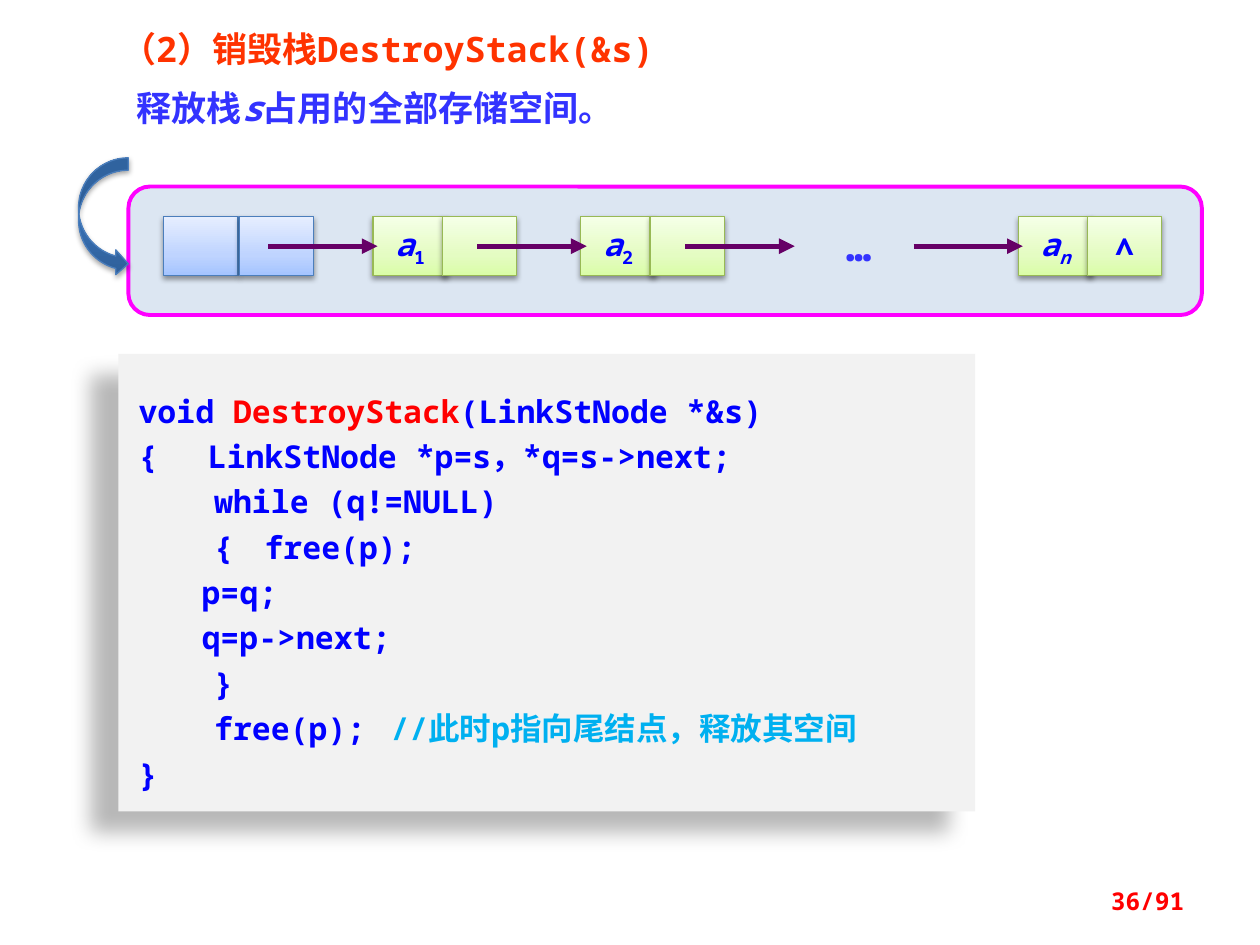
import pptx
import pptx.util
import pptx.dml.color
import pptx.enum.shapes
import pptx.enum.text
import pptx.oxml
import pptx.oxml.ns

Pt = pptx.util.Pt
SHAPE = pptx.enum.shapes.MSO_SHAPE
ALIGN = pptx.enum.text.PP_ALIGN
ANCHOR = pptx.enum.text.MSO_ANCHOR
qn = pptx.oxml.ns.qn

FONT = "Noto Sans Mono"
COLORS = {
    "heading": "FF3300", "summary": "3333FF", "code": "0000FF", "red": "FF0000",
    "comment": "00B0F0", "panel": "DCE6F2", "panel_line": "FF00FF",
    "code_panel": "F2F2F2", "link": "660066",
    "blue_line": "4B7EBC", "green_line": "98B955",
}
GRADIENTS = {
    "blue": [(0, "A4C4FF"), (35, "BFD4FF"), (100, "E6EEFF")],
    "green": [(0, "DAFDA7"), (35, "E4FCC2"), (100, "F5FFE7")],
    "arrow": [(0, "2F5F99"), (80, "3D7CC7"), (100, "3A7CCB")],
}

# A line is a list of spans: (text, format overrides)
HEADING = [[("（2）销毁栈DestroyStack(&s)", {})]]
SUMMARY = [[("释放栈", {}), ("s", {"italic": True}), ("占用的全部存储空间。", {})]]
CODE = [
    [("void ", {}), ("DestroyStack", {"color": "red"}), ("(LinkStNode *&s)", {})],
    [("{　 LinkStNode *p=s，*q=s->next;", {})],
    [("    while (q!=NULL)", {})],
    [("    {\tfree(p);", {})],
    [("\tp=q;", {})],
    [("\tq=p->next;", {})],
    [("    }", {})],
    [("    free(p);\t", {}), ("//此时p指向尾结点，释放其空间", {"color": "comment"})],
    [("}", {})],
]
SUBSCRIPT = {"baseline": -25}


def item(index, **subscript_format):
    return [("a", {"italic": True}), (index, {**SUBSCRIPT, **subscript_format})]


# left edge, distance between the two cells, style, data cell, pointer cell
NODES = [
    (93.6, 43.2, "blue", None, None),
    (213.1, 39.6, "green", item("1"), None),
    (331.9, 39.6, "green", item("2"), None),
    (581.8, 39.6, "green", item("n", italic=True), [("∧", {})]),
]
CELL_WIDTH, CELL_HEIGHT, CELL_TOP = 42.5, 33.8, 123.8
LINK_OFFSET, LINK_LENGTH = 59.7, 62.5
LAST_LINK_START = 522

deck = pptx.Presentation()
deck.slide_width, deck.slide_height = Pt(720), Pt(540)
page = deck.slides.add_slide(deck.slide_layouts[5])


def rgb(name):
    return pptx.dml.color.RGBColor.from_string(COLORS[name])


def write(shape, lines, size=18, color="code", bold=True, align=ALIGN.LEFT,
          anchor=ANCHOR.MIDDLE, spacing=None, wrap=True, insets=(7.2, 3.6, 7.2, 3.6)):
    """Fill a shape with lines of spans; insets run left, top, right, bottom."""
    frame = shape.text_frame
    frame.auto_size = pptx.enum.text.MSO_AUTO_SIZE.NONE
    frame.word_wrap, frame.vertical_anchor = wrap, anchor
    (frame.margin_left, frame.margin_top,
     frame.margin_right, frame.margin_bottom) = map(Pt, insets)
    for number, line in enumerate(lines):
        para = frame.add_paragraph() if number else frame.paragraphs[0]
        para.alignment = align
        if spacing:
            para.line_spacing = spacing
        for text, style in line:
            span = para.add_run()
            span.text = text
            font = span.font
            font.name, font.size, font.bold = FONT, Pt(size), bold
            font.italic = style.get("italic", False)
            font.color.rgb = rgb(style.get("color", color))
            properties = span._r.get_or_add_rPr()
            if "baseline" in style:
                properties.set("baseline", str(style["baseline"] * 1000))
            east_asian = pptx.oxml.parse_xml(
                f'<a:ea {pptx.oxml.ns.nsdecls("a")} typeface="{FONT}"/>')
            properties.find(qn("a:latin")).addnext(east_asian)


def add_box(*bounds):
    return page.shapes.add_textbox(*map(Pt, bounds))


def add_shape(kind, bounds, fill=None, gradient=None, line=None, line_width=0.75, shadow=None):
    """Add a preset shape; shadow is (opacity %, blur, distance, direction)."""
    shape = page.shapes.add_shape(kind, *map(Pt, bounds))
    if gradient:
        shape.fill.gradient()
        shape.fill.gradient_angle = 90
        stops = shape._element.spPr.find(qn("a:gradFill")).find(qn("a:gsLst"))
        for stop in list(stops):
            stops.remove(stop)
        for position, color in GRADIENTS[gradient]:
            stops.append(pptx.oxml.parse_xml(
                f'<a:gs {pptx.oxml.ns.nsdecls("a")} pos="{position * 1000}">'
                f'<a:srgbClr val="{color}"/></a:gs>'))
    else:
        shape.fill.solid()
        shape.fill.fore_color.rgb = rgb(fill)
    if line:
        shape.line.color.rgb = rgb(line)
        shape.line.width = Pt(line_width)
    else:
        shape.line.fill.background()
    shape.shadow.inherit = False
    if shadow:
        opacity, blur, distance, direction = shadow
        shape._element.spPr.find(qn("a:effectLst")).append(pptx.oxml.parse_xml(
            f'<a:outerShdw {pptx.oxml.ns.nsdecls("a")} blurRad="{Pt(blur)}" '
            f'dist="{Pt(distance)}" dir="{direction * 60000}" rotWithShape="0">'
            f'<a:srgbClr val="000000"><a:alpha val="{opacity * 1000}"/></a:srgbClr>'
            '</a:outerShdw>'))
    return shape


def add_link(start):
    middle = Pt(CELL_TOP + CELL_HEIGHT / 2)
    link = page.shapes.add_connector(
        pptx.enum.shapes.MSO_CONNECTOR.STRAIGHT,
        Pt(start), middle, Pt(start + LINK_LENGTH), middle)
    link.line.color.rgb = rgb("link")
    link.line.width = Pt(3)
    namespace = pptx.oxml.ns.nsdecls("a")
    link.line._get_or_add_ln().append(
        pptx.oxml.parse_xml(f'<a:tailEnd {namespace} type="triangle"/>'))
    link._element.spPr.append(pptx.oxml.parse_xml(f'<a:effectLst {namespace}/>'))


title = page.shapes.title
title.left, title.top, title.width, title.height = map(Pt, (62, 11, 420, 33))
write(title, HEADING, size=20, color="heading")
write(add_box(71, 45, 411, 33), SUMMARY, size=20, color="summary")

add_shape(SHAPE.ROUNDED_RECTANGLE, (73.4, 106.6, 613.4, 73.4),
          fill="panel", line="panel_line", line_width=2.25)
code_panel = add_shape(SHAPE.RECTANGLE, (67.7, 202.3, 489.6, 261.4),
                       fill="code_panel", shadow=(28, 11.8, 19.7, 141))
write(code_panel, CODE, anchor=ANCHOR.TOP, spacing=1.2, insets=(11.5, 17.3, 11.5, 8.6))

for left, step, style, *contents in NODES:
    for column, content in enumerate(contents):
        cell = add_shape(SHAPE.RECTANGLE,
                         (left + column * step, CELL_TOP, CELL_WIDTH, CELL_HEIGHT),
                         gradient=style, line=f"{style}_line", shadow=(38, 3.1, 1.6, 90))
        if content:
            write(cell, [content], align=ALIGN.CENTER, wrap=False)

for left, *_ in NODES[:-1]:
    add_link(left + LINK_OFFSET)
add_link(LAST_LINK_START)

write(add_box(456.5, 121.7, 68.4, 36), [[("…", {})]], size=24, color="summary",
      align=ALIGN.CENTER, anchor=ANCHOR.TOP)
add_shape(SHAPE.CURVED_RIGHT_ARROW, (44.9, 90.2, 28.4, 67.7),
          gradient="arrow", line="blue_line", shadow=(35, 3.1, 1.8, 90))
write(add_box(516.2, 500.4, 167.8, 28.8), [[("36/91", {})]], size=14, color="red",
      align=ALIGN.RIGHT)

deck.save("out.pptx")
